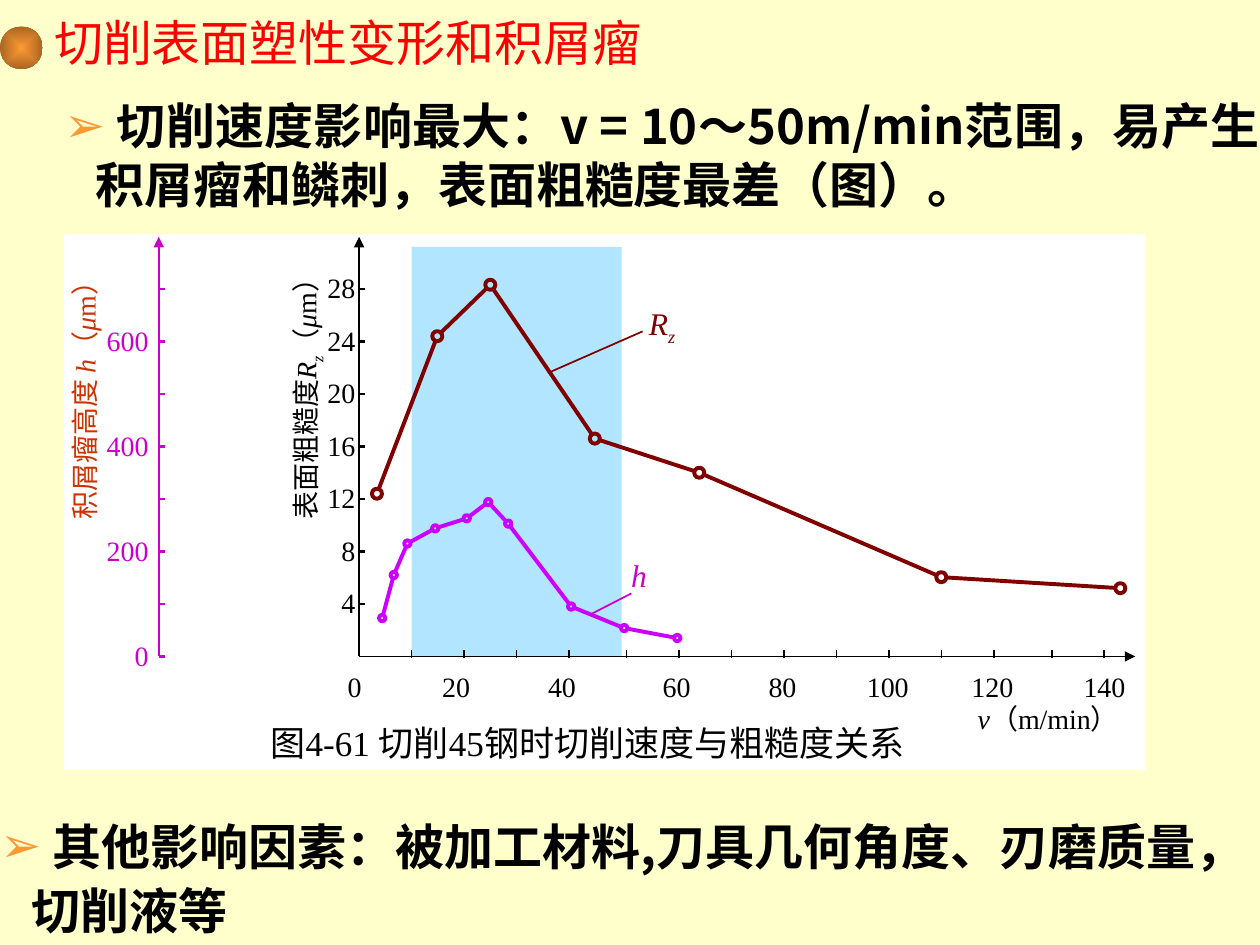
from dataclasses import dataclass
from itertools import pairwise
from math import hypot

from lxml import etree
from pptx import Presentation
from pptx.dml.color import RGBColor
from pptx.enum.shapes import MSO_CONNECTOR, MSO_SHAPE
from pptx.enum.text import MSO_ANCHOR, MSO_AUTO_SIZE, PP_ALIGN
from pptx.oxml.ns import qn
from pptx.util import Inches, Pt

STRAIGHT = MSO_CONNECTOR.STRAIGHT
RECTANGLE, OVAL = MSO_SHAPE.RECTANGLE, MSO_SHAPE.OVAL
TOP, FIXED = MSO_ANCHOR.TOP, MSO_AUTO_SIZE.NONE
LEFT, RIGHT, CENTER, JUSTIFY = PP_ALIGN.LEFT, PP_ALIGN.RIGHT, PP_ALIGN.CENTER, PP_ALIGN.JUSTIFY


@dataclass(frozen=True)
class Theme:
    background: str = "FFFFCC"
    panel: str = "FFFFFF"
    band: str = "66CCFF"
    ink: str = "000000"
    title: str = "FF0000"
    bullet: str = "FF9933"
    bullet_edge: str = "A86521"
    height_title: str = "CC3300"
    height_axis: str = "CC00CC"
    height_curve: str = "CC00FF"
    roughness: str = "800000"
    serif: str = "Times New Roman"
    sans: str = "Noto Sans CJK SC"
    heading_size: int = 28
    caption_size: int = 20
    curve_size: int = 18
    label_size: int = 16


THEME = Theme()
CELL = 5 / 12
ORIGIN_X, ORIGIN_Y = 2.85, 5.21
HEIGHT_AXIS_X = 1.26
AXIS_TOP = 1.88
SPEED_LABELS = {"0": 2.76, "20": 3.51, "40": 4.35, "60": 5.26,
                "80": 6.1, "100": 6.88, "120": 7.71, "140": 8.6}
ROUGHNESS_POINTS = [(0.34, 3.1), (1.49, 6.1), (2.5, 7.08), (4.49, 4.15),
                    (6.48, 3.5), (11.09, 1.51), (14.5, 1.3)]
HEIGHT_POINTS = [(0.44, 0.73), (0.66, 1.55), (0.92, 2.15), (1.45, 2.44),
                 (2.05, 2.63), (2.46, 2.94), (2.84, 2.53), (4.04, 0.95),
                 (5.05, 0.54), (6.06, 0.35)]


def grid(column, row):
    return ORIGIN_X + column * CELL, ORIGIN_Y - row * CELL


def set_all(target, values):
    for name, value in values.items():
        setattr(target, name, value)


def place(shape, box):
    set_all(shape, dict(zip(("left", "top", "width", "height"), map(Inches, box))))


def add_child(parent, tag, **attributes):
    return etree.SubElement(parent, qn(tag), attributes)


def write_text(shape, runs, size, color, font=THEME.serif, bold=False,
               align=JUSTIFY, spacing=1.1, inset=(0, 0), bullet=None):
    frame = shape.text_frame
    across, down = map(Inches, inset)
    set_all(frame, {"word_wrap": True, "auto_size": FIXED, "vertical_anchor": TOP,
                    "margin_left": across, "margin_right": across,
                    "margin_top": down, "margin_bottom": down})
    paragraph = frame.paragraphs[0]
    if bullet:
        properties = paragraph._p.get_or_add_pPr()
        properties.set("marL", str(Inches(0.25)))
        properties.set("indent", str(-Inches(0.25)))
        add_child(add_child(properties, "a:buClr"), "a:srgbClr", val=THEME.bullet)
        add_child(properties, "a:buChar", char=bullet)
    set_all(paragraph, {"alignment": align, "line_spacing": spacing, "space_before": Pt(0)})
    for text, style in runs:
        run = paragraph.add_run()
        run.text = text
        set_all(run.font, {"name": font, "size": Pt(size), "bold": bold,
                           "italic": style in ("italic", "subscript")})
        run.font.color.rgb = RGBColor.from_string(color)
        properties = run._r.get_or_add_rPr()
        add_child(properties, "a:ea", typeface=THEME.sans)
        if style == "subscript":
            properties.set("baseline", "-25000")


def add_label(shapes, box, runs, color, size=THEME.label_size, rotation=0, **options):
    label = shapes.add_textbox(*map(Inches, box))
    label.rotation = rotation
    runs = [(runs, "plain")] if isinstance(runs, str) else runs
    write_text(label, runs, size, color, **options)


def add_line(shapes, start, end, color, width=1.0, arrow=False):
    line = shapes.add_connector(STRAIGHT, *map(Inches, (*start, *end)))
    line.line.color.rgb = RGBColor.from_string(color)
    line.line.width = Pt(width)
    if arrow:
        add_child(line.line._get_or_add_ln(), "a:tailEnd", type="triangle")
    add_child(line._element.spPr, "a:effectLst")


def add_filled(shapes, kind, box, color):
    shape = shapes.add_shape(kind, *map(Inches, box))
    shape.shadow.inherit = False
    shape.fill.solid()
    shape.fill.fore_color.rgb = RGBColor.from_string(color)
    shape.line.fill.background()
    return shape


def add_band(shapes):
    left, bottom = grid(1, 0)
    band = add_filled(shapes, RECTANGLE, (left, 1.96, 4 * CELL, bottom - 1.96), THEME.band)
    color = band._element.spPr.find(".//" + qn("a:srgbClr"))
    add_child(color, "a:alpha", val="50000")


def add_ball(shapes):
    ball = add_filled(shapes, OVAL, (0, 0.21, 0.34, 0.34), THEME.bullet)
    ball.fill.gradient()
    for stop, position, color in zip(ball.fill.gradient_stops, (0, 1),
                                     (THEME.bullet, THEME.bullet_edge)):
        stop.position = position
        stop.color.rgb = RGBColor.from_string(color)
    gradient = ball._element.spPr.find(qn("a:gradFill"))
    gradient.remove(gradient.find(qn("a:lin")))
    center = add_child(gradient, "a:path", path="rect")
    add_child(center, "a:fillToRect", **dict.fromkeys("ltrb", "50000"))


def add_curve(shapes, points, color, diameter):
    radius = diameter / 2
    centers = [grid(*point) for point in points]
    for x, y in centers:
        marker = add_filled(shapes, OVAL, (x - radius, y - radius, diameter, diameter), color)
        marker.fill.background()
        marker.line.color.rgb = RGBColor.from_string(color)
        marker.line.width = Pt(2.25)
    for (x1, y1), (x2, y2) in pairwise(centers):
        share = radius / hypot(x2 - x1, y2 - y1)
        dx, dy = (x2 - x1) * share, (y2 - y1) * share
        add_line(shapes, (x1 + dx, y1 + dy), (x2 - dx, y2 - dy), color, 2.25)


def add_vertical_axis(shapes, x, color, rows, labels, label_right):
    add_line(shapes, (x, ORIGIN_Y), (x, AXIS_TOP), color, arrow=True)
    for row in rows:
        y = grid(0, row)[1]
        add_line(shapes, (x, y), (x + 0.05, y), color, 1.5)
    for row, text in labels.items():
        add_label(shapes, (label_right - 0.4, grid(0, row)[1] - 0.17, 0.4, 0.29),
                  text, color, align=RIGHT)


def add_speed_axis(shapes):
    add_line(shapes, (ORIGIN_X, ORIGIN_Y), (9.01, ORIGIN_Y), THEME.ink, arrow=True)
    for column in range(1, 15):
        x = grid(column, 0)[0] + 0.04 * ((column > 4) + (column > 12))
        add_line(shapes, (x, 5.16), (x, 5.22), THEME.ink)
    for text, left in SPEED_LABELS.items():
        add_label(shapes, (left, 5.29, 0.36, 0.29), text, THEME.ink, align=LEFT)
    add_label(shapes, (7.76, 5.54, 1.33, 0.29),
              [("v", "italic"), ("（m/min）", "plain")], THEME.ink)


def add_diagram(slide):
    shapes = slide.shapes
    add_filled(shapes, RECTANGLE, (0.51, 1.86, 8.58, 4.25), THEME.panel)
    add_band(shapes)
    add_label(shapes, (1.95, 5.68, 5.43, 0.32), "图4-61 切削45钢时切削速度与粗糙度关系",
              THEME.ink, THEME.caption_size, align=CENTER, spacing=1.0, inset=(0.1, 0.05))
    axes, height_axis, height, roughness = (shapes.add_group_shape().shapes for _ in range(4))
    unit = [("（", "plain"), ("μ", "italic"), ("m）", "plain")]
    add_speed_axis(axes)
    add_vertical_axis(axes, ORIGIN_X, THEME.ink, range(1, 8),
                      {row: str(4 * row) for row in range(1, 8)}, 2.82)
    add_label(axes, (1.26, 2.79, 2.33, 0.33),
              [("表面粗糙度", "plain"), ("R", "italic"), ("z", "subscript"), *unit],
              THEME.ink, rotation=270)
    add_vertical_axis(height_axis, HEIGHT_AXIS_X, THEME.height_axis, range(8),
                      {row: str(100 * row) for row in range(0, 8, 2)}, 1.18)
    add_label(height_axis, (-0.51, 2.81, 2.33, 0.29),
              [("积屑瘤高度 ", "plain"), ("h", "italic"), *unit],
              THEME.height_title, rotation=270)
    add_curve(height, HEIGHT_POINTS, THEME.height_curve, 0.05)
    add_label(height, (5.01, 4.38, 0.33, 0.33), [("h", "italic")],
              THEME.height_axis, THEME.curve_size)
    add_line(height, (4.68, 4.88), (5.01, 4.71), THEME.height_axis)
    add_curve(roughness, ROUGHNESS_POINTS, THEME.roughness, 0.08)
    add_label(roughness, (5.15, 2.38, 0.33, 0.38), [("R", "italic"), ("z", "subscript")],
              THEME.roughness, THEME.curve_size)
    add_line(roughness, (4.35, 2.96), (5.1, 2.63), THEME.roughness)


def fill_placeholders(slide):
    title, speed, others = slide.placeholders
    place(title, (0.33, 0, 5.33, 0.62))
    write_text(title, [("切削表面塑性变形和积屑瘤", "plain")], THEME.heading_size,
               THEME.title, inset=(0.1, 0.05))
    for body, box, spacing, text in (
        (speed, (0.51, 0.76, 9.49, 0.93), 1.0,
         " 切削速度影响最大：v = 10～50m/min范围，易产生积屑瘤和鳞刺，表面粗糙度最差（图）。"),
        (others, (0, 6.43, 9.49, 1.03), 1.1,
         " 其他影响因素：被加工材料,刀具几何角度、刃磨质量，切削液等"),
    ):
        place(body, box)
        write_text(body, [(text, "plain")], THEME.heading_size, THEME.ink, THEME.sans,
                   bold=True, spacing=spacing, bullet="➢")


def main():
    presentation = Presentation()
    set_all(presentation, {"slide_width": Inches(10), "slide_height": Inches(7.5)})
    slide = presentation.slides.add_slide(presentation.slide_layouts[3])
    slide.background.fill.solid()
    slide.background.fill.fore_color.rgb = RGBColor.from_string(THEME.background)
    fill_placeholders(slide)
    add_diagram(slide)
    add_ball(slide.shapes)
    presentation.save("out.pptx")


if __name__ == "__main__":
    main()
